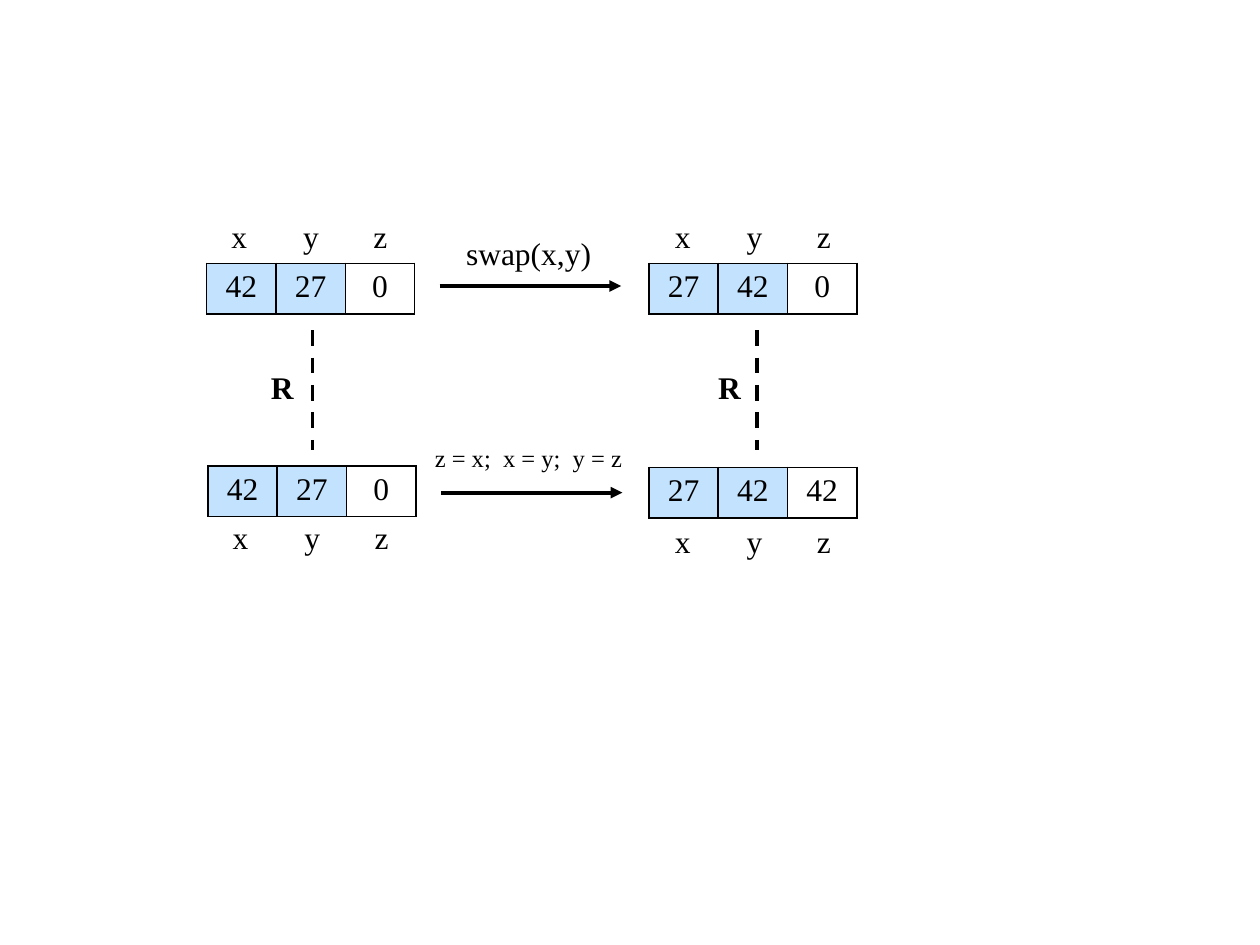
from dataclasses import dataclass

from lxml.etree import SubElement as Sub
from pptx import Presentation
from pptx.dml.color import RGBColor as Rgb
from pptx.enum.dml import MSO_LINE as Dash
from pptx.enum.shapes import MSO_CONNECTOR as Link
from pptx.enum.text import PP_ALIGN as Align
from pptx.oxml.ns import qn
from pptx.util import Inches, Pt


@dataclass(frozen=True)
class Theme:
    font: str = "Times New Roman"
    ink: str = "000000"
    blue: str = "C3E2FD"
    white: str = "FFFFFF"
    body: int = 18
    small: int = 14
    rule: float = 2.25
    edge: float = 1


LOOK = Theme()


def style(para, size=LOOK.body, bold=False, align=Align.CENTER):
    para.alignment = align
    font = para.font
    font.name, font.size, font.bold = LOOK.font, Pt(size), bold
    font.color.rgb = Rgb.from_string(LOOK.ink)


def label(slide, text, left, top, width, height=0.4, **look):
    box = slide.shapes.add_textbox(*map(Inches, (left, top, width, height)))
    box.text_frame.word_wrap = True
    para = box.text_frame.paragraphs[0]
    para.text = text
    style(para, **look)
    return para


def names(slide, left, top):
    para = label(slide, "\tx\ty\tz", left, top, 2.11, align=Align.LEFT)
    tabs = Sub(para._p.get_or_add_pPr(), qn("a:tabLst"))
    para._p.pPr.insert(0, tabs)
    for pos in (0.43, 1, 1.55):
        Sub(tabs, qn("a:tab"), pos=str(Inches(pos)), algn="ctr")


def border(cell):
    props = cell._tc.get_or_add_tcPr()
    for spot, side in enumerate(("lnL", "lnR", "lnT", "lnB")):
        line = Sub(props, qn(f"a:{side}"), w=str(Pt(LOOK.edge)))
        fill = Sub(line, qn("a:solidFill"))
        Sub(fill, qn("a:srgbClr"), val=LOOK.ink)
        props.insert(spot, line)


def state(slide, values, left, top):
    frame = slide.shapes.add_table(
        1, len(values), *map(Inches, (left, top, 1.65, 0.4)))
    table = frame.table
    table.first_row = table.horz_banding = False
    fills = (LOOK.blue, LOOK.blue, LOOK.white)
    for col, (value, fill) in enumerate(zip(values, fills)):
        table.columns[col].width = Inches(0.55)
        cell = table.cell(0, col)
        cell.text = str(value)
        style(cell.text_frame.paragraphs[0])
        cell.fill.solid()
        cell.fill.fore_color.rgb = Rgb.from_string(fill)
        border(cell)


def rule(slide, left, top, right, low):
    line = slide.shapes.add_connector(
        Link.STRAIGHT, *map(Inches, (left, top, right, low)))
    line.line.color.rgb = Rgb.from_string(LOOK.ink)
    line.line.width = Pt(LOOK.rule)
    Sub(line._element.spPr, qn("a:effectLst"))
    return line.line


def arrow(slide, left, top):
    line = rule(slide, left, top, left + 1.44, top)
    Sub(line._ln, qn("a:tailEnd"), type="triangle")


def relate(slide, left, text):
    rule(slide, left, 2.62, left, 3.57).dash_style = Dash.DASH
    label(slide, "R", text, 2.87, 0.52, bold=True)


def main():
    deck = Presentation()
    deck.slide_width, deck.slide_height = Inches(10), Inches(7.5)
    slide = deck.slides.add_slide(deck.slide_layouts[6])

    for values, left, top in (
        ((42, 27, 0), 1.64, 2.09),
        ((42, 27, 0), 1.65, 3.7),
        ((27, 42, 0), 5.15, 2.09),
        ((27, 42, 42), 5.15, 3.71),
    ):
        state(slide, values, left, top)

    for left, top in ((1.37, 1.67), (4.89, 1.67), (1.38, 4.06), (4.89, 4.09)):
        names(slide, left, top)

    arrow(slide, 3.49, 2.27)
    arrow(slide, 3.5, 3.91)
    label(slide, "swap(x,y)", 3.49, 1.81, 1.41)
    label(slide, "z = x;  x = y;  y = z", 3.14, 3.47, 2.11, 0.34,
          size=LOOK.small)
    relate(slide, 2.48, 1.98)
    relate(slide, 6.01, 5.53)

    deck.save("out.pptx")


main()
